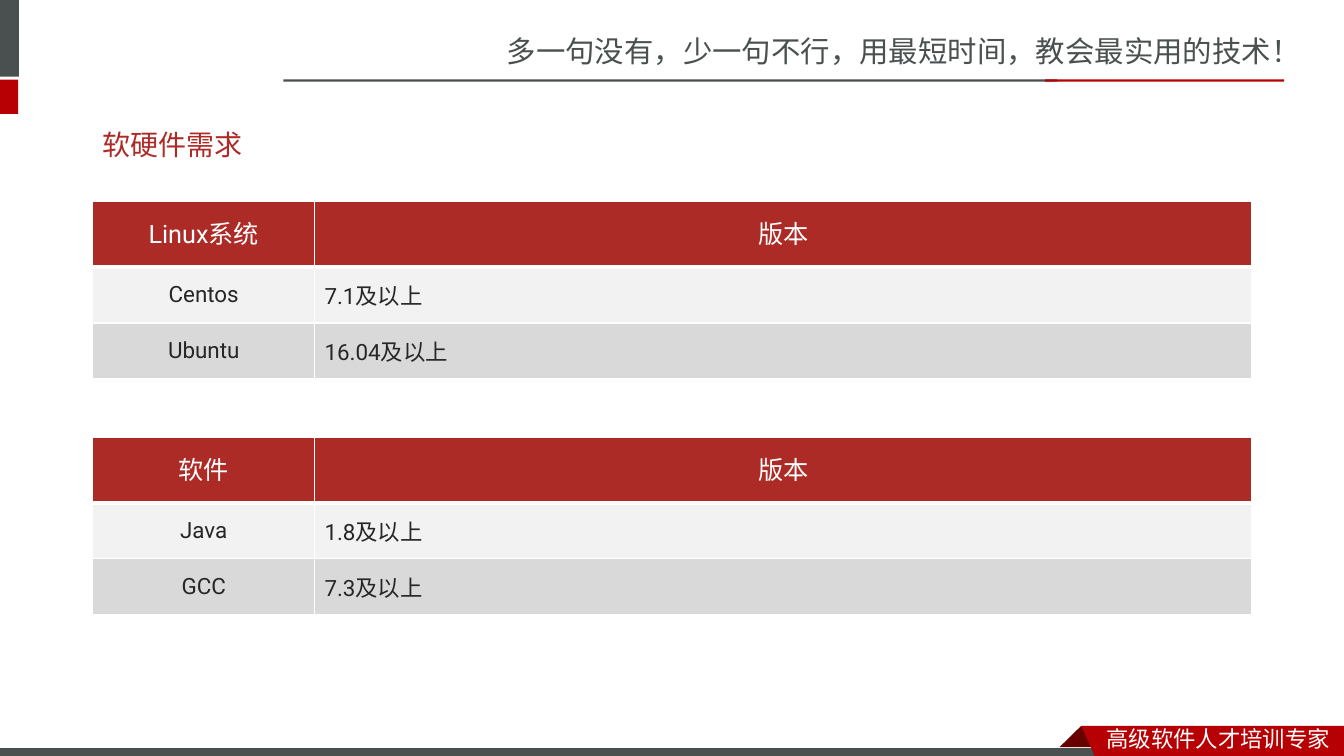
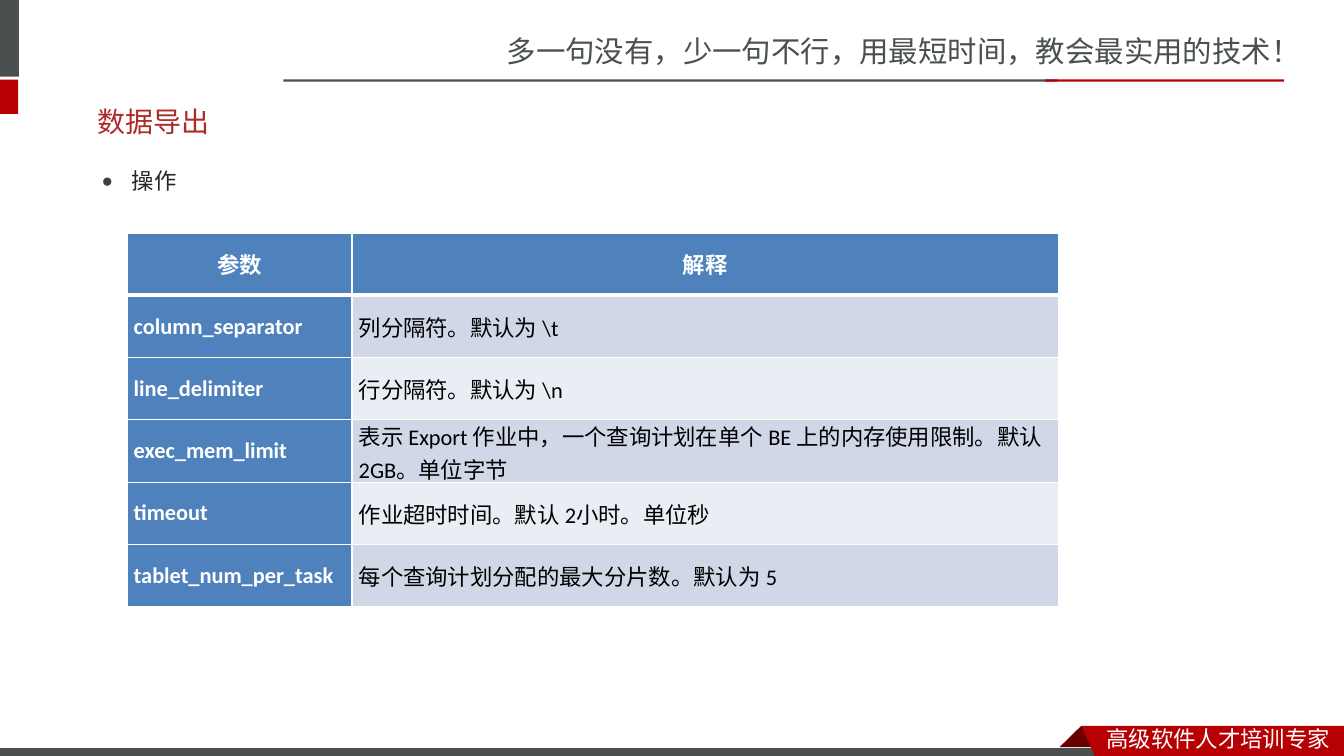
from lxml.etree import SubElement
from pptx import Presentation
from pptx.dml.color import RGBColor
from pptx.enum.shapes import MSO_SHAPE
from pptx.enum.text import MSO_ANCHOR, PP_ALIGN
from pptx.oxml.ns import qn
from pptx.util import Cm, Pt

SLATE = RGBColor(0x49, 0x50, 0x4F)
RED = RGBColor(0xB6, 0x00, 0x04)
FOLD_RED = RGBColor(0x68, 0x00, 0x00)
TITLE_RED = RGBColor(0xAD, 0x2A, 0x26)
HEADER_RED = RGBColor(0xAD, 0x2B, 0x26)
BODY = RGBColor(0x26, 0x26, 0x26)
BULLET = RGBColor(0x40, 0x40, 0x40)
BLACK = RGBColor(0x00, 0x00, 0x00)
WHITE = RGBColor(0xFF, 0xFF, 0xFF)
LIGHT_GREY = RGBColor(0xF2, 0xF2, 0xF2)
MID_GREY = RGBColor(0xD9, 0xD9, 0xD9)
BLUE = RGBColor(0x4F, 0x81, 0xBD)
BLUE_BANDS = (RGBColor(0xD0, 0xD8, 0xE8), RGBColor(0xE9, 0xED, 0xF4))
GREY_BANDS = (LIGHT_GREY, MID_GREY)
CJK_FONT = "Noto Sans CJK SC"
WIDTH, HEIGHT = 33.87, 19.05


def write_text(frame, text, size=16, color=BODY, font=CJK_FONT, bold=False,
               align=PP_ALIGN.LEFT, line_spacing=None, bullet=None):
    paragraph = frame.paragraphs[0]
    paragraph.alignment = align
    if line_spacing:
        paragraph.line_spacing = line_spacing
    if bullet:
        properties = paragraph._p.get_or_add_pPr()
        indent = Cm(0.76)
        properties.set("marL", str(indent))
        properties.set("indent", str(-indent))
        bullet_color = SubElement(properties, qn("a:buClr"))
        SubElement(bullet_color, qn("a:srgbClr"), val=str(BULLET))
        SubElement(properties, qn("a:buSzPct"), val="85000")
        SubElement(properties, qn("a:buFont"), typeface="Arial")
        SubElement(properties, qn("a:buChar"), char=bullet)
    run = paragraph.add_run()
    run.text = text
    run.font.size = Pt(size)
    run.font.bold = bold
    run.font.color.rgb = color
    run.font.name = font
    SubElement(run._r.get_or_add_rPr(), qn("a:ea"), typeface=CJK_FONT)


def set_borders(cell, top, bottom):
    properties = cell._tc.get_or_add_tcPr()
    for side, width in (("L", 1), ("R", 1), ("T", top), ("B", bottom)):
        line = SubElement(properties, qn(f"a:ln{side}"), w=str(Pt(width)))
        fill = SubElement(line, qn("a:solidFill"))
        SubElement(fill, qn("a:srgbClr"), val=str(WHITE))


class Deck:
    """Holds the shared style and the slide being built."""

    def __init__(self):
        self.presentation = Presentation()
        self.presentation.slide_width = Cm(WIDTH)
        self.presentation.slide_height = Cm(HEIGHT)
        self.slide = None

    def add_slide(self, title, left, top):
        layout = self.presentation.slide_layouts[6]
        self.slide = self.presentation.slides.add_slide(layout)
        self.add_text("多一句没有，少一句不行，用最短时间，教会最实用的技术！",
                      12.52, 0.71, 21.34, 1.19, wrap=False, size=21, color=SLATE)
        self.add_bar(0, 0, 0.48, 1.93, SLATE)
        self.add_bar(0, 2.01, 0.46, 0.86, RED)
        self.add_bar(7.14, 2, 19.5, 0.06, SLATE)
        self.add_bar(26.34, 2, 6.02, 0.06, RED)
        self.add_outline([(27.25, 18.29), (27.81, 18.83), (26.7, 18.83)], FOLD_RED)
        self.add_bar(0, 18.85, 27.94, HEIGHT - 18.85, SLATE)
        self.add_outline([(27.25, 18.29), (WIDTH, 18.29), (WIDTH, HEIGHT),
                          (27.59, HEIGHT)], RED)
        self.add_text("高级软件人才培训专家", 27.64, 18.16, 6.22, 0.89,
                      wrap=False, color=WHITE)
        self.add_text(title, left, top, 27.36, 1.45, anchor=MSO_ANCHOR.MIDDLE,
                      size=20, color=TITLE_RED, font="Arial")

    def paint(self, shape, color):
        shape.shadow.inherit = False
        shape.fill.solid()
        shape.fill.fore_color.rgb = color
        shape.line.fill.background()

    def add_bar(self, left, top, width, height, color):
        shape = self.slide.shapes.add_shape(
            MSO_SHAPE.RECTANGLE, Cm(left), Cm(top), Cm(width), Cm(height))
        self.paint(shape, color)

    def add_outline(self, points, color):
        corners = [(Cm(x), Cm(y)) for x, y in points]
        builder = self.slide.shapes.build_freeform(*corners[0])
        builder.add_line_segments(corners[1:], close=True)
        self.paint(builder.convert_to_shape(), color)

    def add_text(self, text, left, top, width, height, wrap=True,
                 anchor=MSO_ANCHOR.TOP, **style):
        box = self.slide.shapes.add_textbox(Cm(left), Cm(top), Cm(width), Cm(height))
        frame = box.text_frame
        frame.word_wrap = wrap
        frame.vertical_anchor = anchor
        write_text(frame, text, **style)

    def add_table(self, rows, left, top, widths, heights, margins, bands,
                  header_fill, header_style, first_style, body_style, first_fill=None):
        table = self.slide.shapes.add_table(
            len(rows), len(widths), Cm(left), Cm(top),
            Cm(sum(widths)), Cm(sum(heights))).table
        table.first_row = table.horz_banding = False
        for column, width in zip(table.columns, widths):
            column.width = Cm(width)
        for row_index, texts in enumerate(rows):
            table.rows[row_index].height = Cm(heights[row_index])
            for column_index, text in enumerate(texts):
                cell = table.cell(row_index, column_index)
                cell.vertical_anchor = MSO_ANCHOR.MIDDLE
                cell.margin_left = cell.margin_right = Cm(margins[0])
                cell.margin_top = cell.margin_bottom = Cm(margins[1])
                set_borders(cell, 3 if row_index == 1 else 1,
                            3 if row_index == 0 else 1)
                fill, style = bands[(row_index - 1) % 2], body_style
                if row_index == 0:
                    fill, style = header_fill, header_style
                elif column_index == 0:
                    fill, style = first_fill or fill, first_style
                cell.fill.solid()
                cell.fill.fore_color.rgb = fill
                write_text(cell.text_frame, text, **style)

    def add_version_table(self, top, rows):
        roboto = {"font": "Roboto"}
        centred = {**roboto, "align": PP_ALIGN.CENTER}
        self.add_table(
            rows, 2.34, top, (5.59, 23.62), (1.65, 1.41, 1.41), (0.25, 0.13),
            GREY_BANDS, HEADER_RED,
            {**centred, "size": 18, "color": WHITE, "line_spacing": Pt(24)},
            centred, roboto)

    def add_parameter_table(self, rows):
        name_style = {"font": "Calibri", "color": WHITE, "bold": True}
        self.add_table(
            rows, 3.2, 5.87, (5.67, 17.81), [1.57] * len(rows), (0.17, 0),
            BLUE_BANDS, BLUE, {**name_style, "align": PP_ALIGN.CENTER},
            name_style, {"font": "Calibri", "color": BLACK}, first_fill=BLUE)


def main():
    deck = Deck()
    deck.add_slide("软硬件需求", 2.34, 2.9)
    deck.add_version_table(5.08, [
        ("Linux系统", "版本"),
        ("Centos", "7.1及以上"),
        ("Ubuntu", "16.04及以上"),
    ])
    deck.add_version_table(11.02, [
        ("软件", "版本"),
        ("Java", "1.8及以上"),
        ("GCC", "7.3及以上"),
    ])
    deck.add_slide("数据导出", 2.21, 2.34)
    deck.add_text("操作", 2.31, 3.76, 29.34, 1.17, font="Roboto",
                  line_spacing=1.5, bullet="●")
    deck.add_parameter_table([
        ("参数", "解释"),
        ("column_separator", "列分隔符。默认为 \\t"),
        ("line_delimiter", "行分隔符。默认为 \\n"),
        ("exec_mem_limit",
         "表示 Export 作业中，一个查询计划在单个 BE 上的内存使用限制。默认 2GB。单位字节"),
        ("timeout", "作业超时时间。默认 2小时。单位秒"),
        ("tablet_num_per_task", "每个查询计划分配的最大分片数。默认为 5"),
    ])
    deck.presentation.save("out.pptx")


if __name__ == "__main__":
    main()
